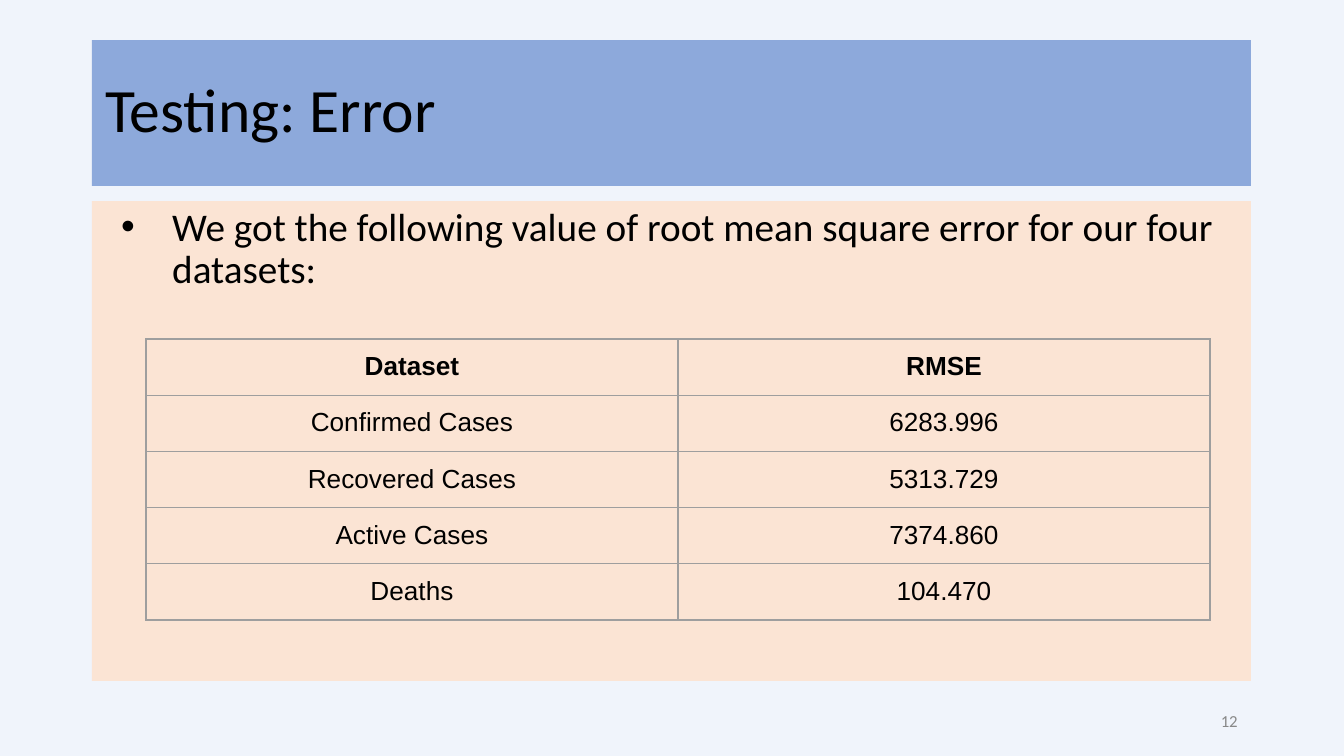
from dataclasses import dataclass
from lxml.etree import SubElement
from pptx import Presentation
from pptx.dml.color import RGBColor
from pptx.enum.shapes import MSO_SHAPE
from pptx.enum.text import MSO_ANCHOR, PP_ALIGN
from pptx.oxml.ns import qn
from pptx.util import Emu, Pt

SCALE = 914400 / 134.4


@dataclass(frozen=True)
class Theme:
    back: str = "F0F4FB"
    band: str = "8DA9DB"
    panel: str = "FBE4D4"
    ink: str = "000000"
    muted: str = "888888"
    rule: str = "9E9E9E"
    main: str = "Calibri"
    grid: str = "Arial"
    title: int = 33
    body: int = 21
    cell: int = 14
    note: int = 9


THEME = Theme()
ROWS = [
    ("Dataset", "RMSE"),
    ("Confirmed Cases", "6283.996"),
    ("Recovered Cases", "5313.729"),
    ("Active Cases", "7374.860"),
    ("Deaths", "104.470"),
]


def px(num):
    return Emu(round(num * SCALE))


def apply(item, style):
    for name, value in style.items():
        setattr(item, name, value)


def write(frame, text, size, face=THEME.main, color=THEME.ink, bold=False, **style):
    """Put one run in the first paragraph; style holds paragraph values."""
    para = frame.paragraphs[0]
    apply(para, style)
    run = para.add_run()
    run.text = text
    apply(run.font, {"name": face, "size": Pt(size), "bold": bold})
    run.font.color.rgb = RGBColor.from_string(color)
    return para


def panel(slide, box, color, anchor):
    shape = slide.shapes.add_shape(MSO_SHAPE.RECTANGLE, *map(px, box))
    shape.shadow.inherit = False
    shape.fill.solid()
    shape.fill.fore_color.rgb = RGBColor.from_string(color)
    shape.line.fill.background()
    apply(shape.text_frame, {"word_wrap": True, "vertical_anchor": anchor})
    return shape.text_frame


def bullet(para, indent, hang):
    props = para._p.get_or_add_pPr()
    props.set("marL", str(px(indent)))
    props.set("indent", str(-px(hang)))
    tint = SubElement(props, qn("a:buClr"))
    SubElement(tint, qn("a:srgbClr"), val=THEME.ink)
    SubElement(props, qn("a:buFont"), typeface=THEME.grid)
    SubElement(props, qn("a:buChar"), char="•")


def border(cell):
    props = cell._tc.get_or_add_tcPr()
    for spot, side in enumerate(("lnL", "lnR", "lnT", "lnB")):
        line = props.makeelement(qn(f"a:{side}"), {"w": str(Pt(0.75))})
        fill = SubElement(line, qn("a:solidFill"))
        SubElement(fill, qn("a:srgbClr"), val=THEME.rule)
        props.insert(spot, line)


def header(slide, box, text):
    frame = panel(slide, box, THEME.band, MSO_ANCHOR.MIDDLE)
    write(frame, text, THEME.title, alignment=PP_ALIGN.LEFT, line_spacing=0.9)


def grid(slide, box, rows):
    left, top, width, height = box
    count = len(rows[0])
    table = slide.shapes.add_table(len(rows), count, *map(px, box)).table
    apply(table, {"first_row": False, "horz_banding": False})
    for col in table.columns:
        col.width = px(width / count)
    sides = ("left", "right", "top", "bottom")
    pad = {f"margin_{side}": px(13) for side in sides}
    for i, row in enumerate(rows):
        table.rows[i].height = px(height / len(rows))
        for j, text in enumerate(row):
            cell = table.cell(i, j)
            apply(cell, pad)
            cell.fill.background()
            border(cell)
            write(cell.text_frame, text, THEME.cell, THEME.grid,
                  bold=i == 0, alignment=PP_ALIGN.CENTER)


def body(slide, box, text, rows):
    left, top, width, height = box
    frame = panel(slide, box, THEME.panel, MSO_ANCHOR.TOP)
    para = write(frame, text, THEME.body, alignment=PP_ALIGN.LEFT,
                 line_spacing=0.9, space_before=Pt(7.5))
    bullet(para, 67, 51)
    grid(slide, (left + 54, top + 138, 1064, 281), rows)


def footer(slide, box, text):
    frame = slide.shapes.add_textbox(*map(px, box)).text_frame
    apply(frame, {"word_wrap": True, "vertical_anchor": MSO_ANCHOR.MIDDLE})
    write(frame, text, THEME.note, color=THEME.muted, alignment=PP_ALIGN.RIGHT)


def main():
    deck = Presentation()
    apply(deck, {"slide_width": px(1344), "slide_height": px(756)})
    slide = deck.slides.add_slide(deck.slide_layouts[6])
    fill = slide.background.fill
    fill.solid()
    fill.fore_color.rgb = RGBColor.from_string(THEME.back)
    left, width = 92, 1159
    header(slide, (left, 40, width, 146), "Testing: Error")
    body(slide, (left, 201, width, 480),
         "We got the following value of root mean square error for our four datasets:",
         ROWS)
    footer(slide, (left + width - 302, 701, 302, 40), "12")
    deck.save("out.pptx")


if __name__ == "__main__":
    main()
